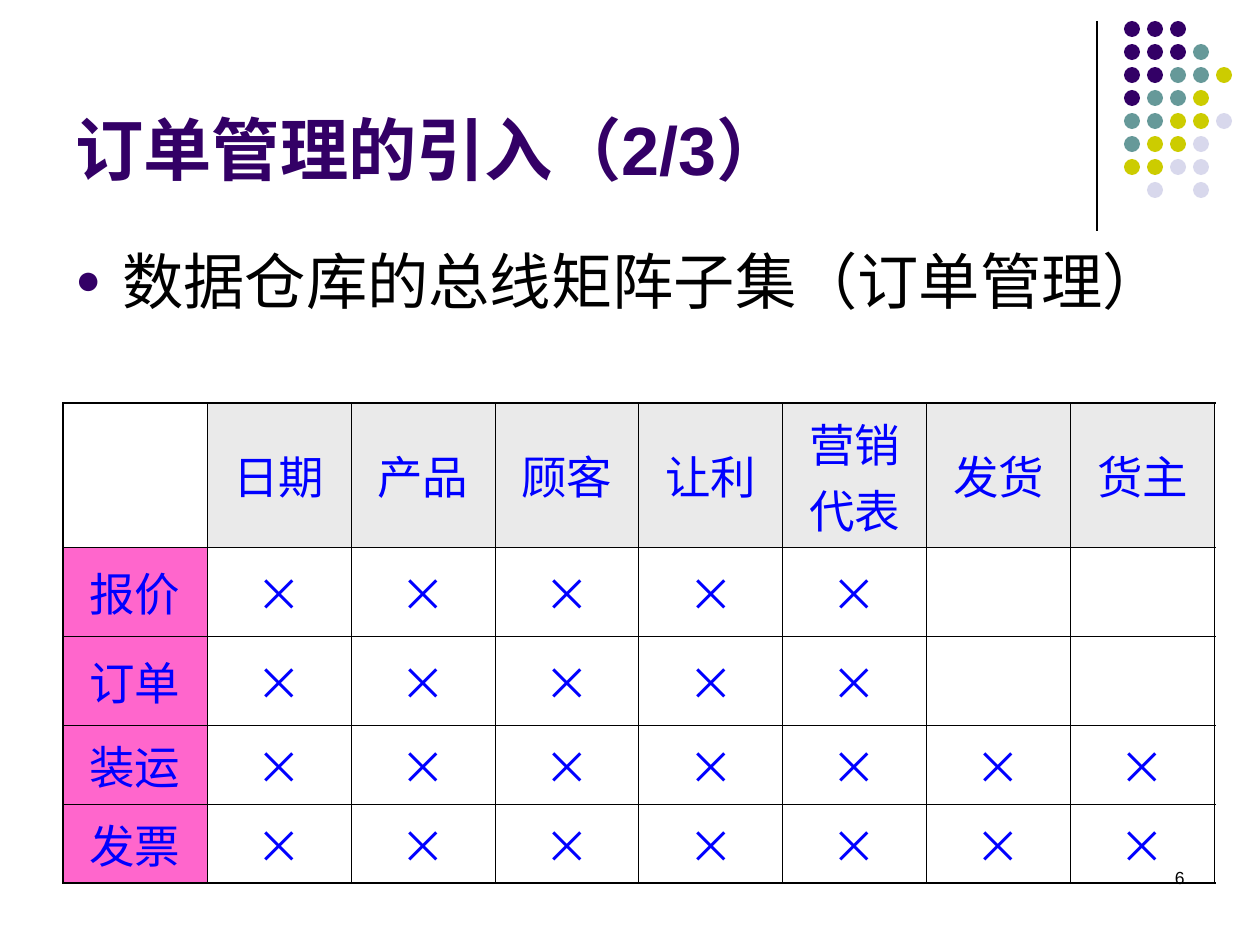
from lxml.etree import SubElement as Sub
from pptx import Presentation
from pptx.dml.color import RGBColor
from pptx.enum.shapes import MSO_CONNECTOR as Conn, MSO_SHAPE as Shape
from pptx.enum.text import MSO_ANCHOR as Anchor, PP_ALIGN as Align
from pptx.oxml.ns import qn
from pptx.util import Pt

PX = 914400 / 126  # EMU in one px
FONT, CJK = "Arial", "Noto Sans CJK SC"
DARK, TEAL, LIME, PALE = "330066", "669999", "CCCC00", "D8D8EC"
BLACK, BLUE, GREY, PINK = "000000", "0000FF", "EAEAEA", "FF66CC"


def px(*nums):
    return [round(n * PX) for n in nums]


def put(frame, text, size, hue, font=FONT, align=Align.LEFT, bold=False):
    frame.word_wrap = True
    para = frame.paragraphs[0]
    para.alignment = align
    run = para.add_run()
    run.text = text
    run.font.size, run.font.bold, run.font.name = Pt(size), bold, font
    run.font.color.rgb = RGBColor.from_string(hue)
    Sub(run.font._element, qn("a:ea"), typeface=CJK)
    return para


deck = Presentation()
deck.slide_width, deck.slide_height = px(1260, 945)
slide = deck.slides.add_slide(deck.slide_layouts[6])
shapes = slide.shapes

# Corner rule
rule = shapes.add_connector(Conn.STRAIGHT, *px(1097, 21, 1097, 231))
rule.line.width = Pt(0.75)
rule.line.color.rgb = RGBColor.from_string(BLACK)
Sub(rule._element.spPr, qn("a:effectLst"))

# Corner dots, one letter for each colour
hues = {"D": DARK, "T": TEAL, "L": LIME, "P": PALE}
dots = ["DDD", "DDDT", "DDTTL", "DTTL", "TTLLP", "TLLP", "LLPP", " P P"]
group = shapes.add_group_shape()
for row, marks in enumerate(dots):
    for col, mark in enumerate(marks):
        if mark in hues:
            dot = group.shapes.add_shape(
                Shape.OVAL, *px(1124 + 23 * col, 21 + 23 * row, 16, 16))
            dot.shadow.inherit = False
            dot.fill.solid()
            dot.fill.fore_color.rgb = RGBColor.from_string(hues[mark])
            dot.line.fill.background()

# Page number
page = shapes.add_textbox(*px(903, 861, 294, 63)).text_frame
put(page, "6", 10, BLACK, align=Align.RIGHT)

# Title
title = shapes.add_textbox(*px(63, 16, 1040, 179)).text_frame
title.vertical_anchor = Anchor.BOTTOM
put(title, "订单管理的引入（2/3）", 39, DARK, bold=True)

# Bullet point
body = shapes.add_textbox(*px(63, 237, 1163, 156)).text_frame
para = put(body, "数据仓库的总线矩阵子集（订单管理）", 35, BLACK)
para.space_before = Pt(8.8)
props = para._p.get_or_add_pPr()
indent, = px(47)
props.set("marL", str(indent))
props.set("indent", str(-indent))
Sub(Sub(props, qn("a:buClr")), qn("a:srgbClr"), val=DARK)
Sub(props, qn("a:buSzPct"), val="70000")
Sub(props, qn("a:buFont"), typeface=FONT)
Sub(props, qn("a:buChar"), char="●")

# Bus matrix: each process with its count of marked dimensions
heads = ["", "日期", "产品", "顾客", "让利", "营销代表", "发货", "货主"]
tasks = [("报价", 5), ("订单", 5), ("装运", 7), ("发票", 7)]
grid = [heads] + [[name] + ["×"] * n + [""] * (7 - n) for name, n in tasks]
highs = [144, 89, 89, 79, 79]
rows, cols = len(grid), len(heads)
table = shapes.add_table(rows, cols, *px(63, 403, 1152, sum(highs))).table
table.first_row = table.horz_banding = False
for col in table.columns:
    col.width, = px(144)
for i, high in enumerate(highs):
    table.rows[i].height, = px(high)
    for j, text in enumerate(grid[i]):
        cell = table.cell(i, j)
        cell.vertical_anchor = Anchor.MIDDLE

        # Thick outer edge, thin inner lines
        edges = {"L": j == 0, "R": j == cols - 1,
                 "T": i == 0, "B": i == rows - 1}
        for side, outer in edges.items():
            line = Sub(cell._tc.get_or_add_tcPr(), qn("a:ln" + side),
                       w=str(Pt(1.08 if outer else 0.45)))
            Sub(Sub(line, qn("a:solidFill")), qn("a:srgbClr"), val=BLACK)

        if text and (i == 0 or j == 0):
            cell.fill.solid()
            cell.fill.fore_color.rgb = RGBColor.from_string(
                GREY if i == 0 else PINK)
        else:
            cell.fill.background()
        if text:
            font = CJK if text == "×" else FONT
            para = put(cell.text_frame, text, 26, BLUE, font, Align.CENTER)
            para.space_before = Pt(6.5)

deck.save("out.pptx")
